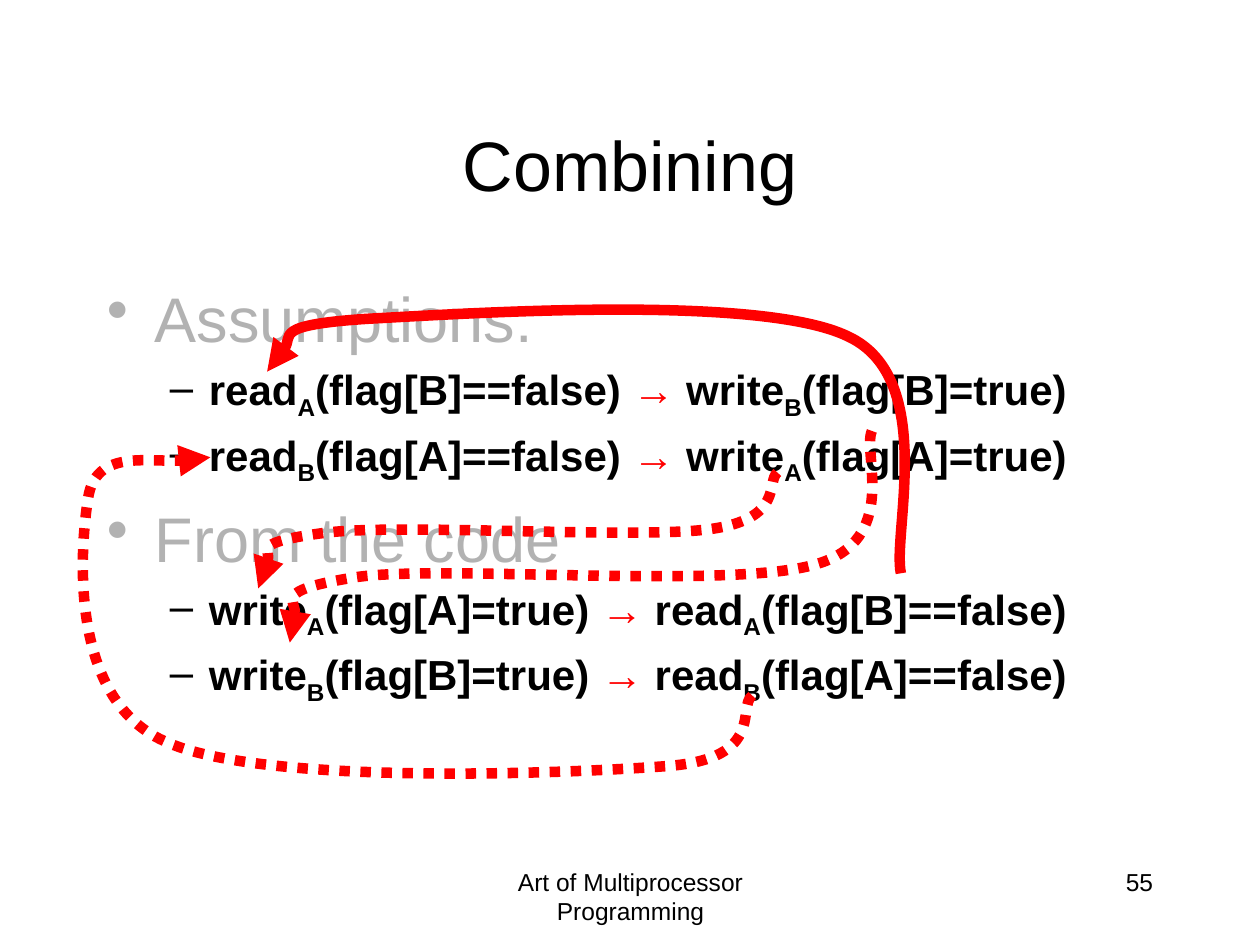
from typing import NamedTuple

from lxml.etree import SubElement
from pptx import Presentation
from pptx.dml.color import RGBColor
from pptx.enum.dml import MSO_LINE
from pptx.enum.text import MSO_ANCHOR, PP_ALIGN
from pptx.oxml.ns import qn
from pptx.util import Inches, Pt

BLACK = RGBColor(0x00, 0x00, 0x00)
GRAY = RGBColor(0xB2, 0xB2, 0xB2)
RED = RGBColor(0xFF, 0x00, 0x00)
WHITE = RGBColor(0xFF, 0xFF, 0xFF)

HEAD = {"size": Pt(36), "bold": False}
CODE = {"size": Pt(24), "bold": True}
SMALL = {"size": Pt(14), "bold": False}
TITLE = {"size": Pt(40), "bold": False}


class Box(NamedTuple):
    left: float
    top: float
    width: float
    height: float


class Level(NamedTuple):
    depth: int
    bullet: str
    margin: float
    indent: float
    font: dict


class Call(NamedTuple):
    verb: str
    thread: str
    args: str


class Order(NamedTuple):
    first: Call
    then: Call


class Group(NamedTuple):
    head: str
    orders: list


class Curve(NamedTuple):
    points: list
    dotted: bool = True


TOP = Level(0, "•", 0.38, -0.38, HEAD)
SUB = Level(1, "–", 0.81, -0.31, CODE)

READ_A = Call("read", "A", "(flag[B]==false)")
READ_B = Call("read", "B", "(flag[A]==false)")
WRITE_A = Call("write", "A", "(flag[A]=true)")
WRITE_B = Call("write", "B", "(flag[B]=true)")

GROUPS = [
    Group("Assumptions:", [Order(READ_A, WRITE_B), Order(READ_B, WRITE_A)]),
    Group("From the code", [Order(WRITE_A, READ_A), Order(WRITE_B, READ_B)]),
]

CURVES = [
    Curve([(5.97, 5.52), (5.85, 5.61), (6.08, 6.02), (5.3, 6.08),
           (4.52, 6.14), (2.06, 6.24), (1.3, 5.88),
           (0.53, 5.53), (0.64, 4.32), (0.7, 3.95),
           (0.76, 3.57), (1.47, 3.7), (1.67, 3.63)]),
    Curve([(6.92, 3.42), (6.84, 3.59), (7.15, 4.29), (6.47, 4.48),
           (5.79, 4.68), (3.53, 4.48), (2.83, 4.58),
           (2.14, 4.69), (2.41, 4.99), (2.3, 5.1)]),
    Curve([(6.17, 3.75), (6.08, 3.82), (6.23, 4.12), (5.63, 4.2),
           (5.03, 4.28), (3.16, 4.15), (2.57, 4.23),
           (1.97, 4.31), (2.16, 4.58), (2.05, 4.67)]),
    Curve([(7.15, 4.55), (7.08, 4.24), (7.44, 3), (6.73, 2.67),
           (6.03, 2.33), (3.69, 2.49), (2.92, 2.53),
           (2.15, 2.58), (2.28, 2.86), (2.12, 2.95)], dotted=False),
]


def apply(target, values: dict) -> None:
    for name, value in values.items():
        setattr(target, name, value)


def place(shape, box: Box) -> None:
    apply(shape, {name: Inches(size) for name, size in box._asdict().items()})


def add_run(para, text: str, font: dict, color: RGBColor, base: int = 0) -> None:
    run = para.add_run()
    run.text = text
    apply(run.font, {"name": "Arial", **font})
    run.font.color.rgb = color
    if base:
        run._r.get_or_add_rPr().set("baseline", str(base * 1000))


def add_frame(slide, box: Box):
    frame = slide.shapes.add_textbox(*map(Inches, box)).text_frame
    frame.word_wrap = True
    return frame


def add_label(slide, box: Box, text: str, align: PP_ALIGN) -> None:
    para = add_frame(slide, box).paragraphs[0]
    para.alignment = align
    add_run(para, text, SMALL, BLACK)


def add_item(frame, level: Level):
    para = frame.paragraphs[0]
    if para.runs:
        para = frame.add_paragraph()
    space = Pt(level.font["size"].pt * 0.2)
    apply(para, {"level": level.depth, "space_before": space})
    props = para._p.get_or_add_pPr()
    props.set("marL", str(Inches(level.margin)))
    props.set("indent", str(Inches(level.indent)))
    SubElement(props, qn("a:buChar")).set("char", level.bullet)
    return para


def add_call(para, call: Call, lead: str = "", trail: str = "") -> None:
    add_run(para, lead + call.verb, CODE, BLACK)
    add_run(para, call.thread, CODE, BLACK, base=-25)
    add_run(para, call.args + trail, CODE, BLACK)


def add_body(slide, box: Box, groups: list[Group]) -> None:
    frame = add_frame(slide, box)
    for group in groups:
        add_run(add_item(frame, TOP), group.head, HEAD, GRAY)
        for order in group.orders:
            para = add_item(frame, SUB)
            add_call(para, order.first, trail=" ")
            add_run(para, "→", CODE, RED)
            add_call(para, order.then, lead=" ")


def bend(shape) -> None:
    path = next(shape._element.iter(qn("a:path")))
    lines = path.findall(qn("a:lnTo"))
    for start in range(0, len(lines), 3):
        cubic = SubElement(path, qn("a:cubicBezTo"))
        for line in lines[start:start + 3]:
            cubic.append(line[0])
            path.remove(line)


def add_curve(slide, curve: Curve) -> None:
    points = [(Inches(x), Inches(y)) for x, y in curve.points]
    form = slide.shapes.build_freeform(*points[0])
    form.add_line_segments(points[1:], close=False)
    shape = form.convert_to_shape()
    bend(shape)
    shape.shadow.inherit = False
    shape.fill.background()
    shape.line.color.rgb = RED
    shape.line.width = Pt(6)
    if curve.dotted:
        shape.line.dash_style = MSO_LINE.ROUND_DOT
    stroke = shape._element.spPr.find(qn("a:ln"))
    SubElement(stroke, qn("a:tailEnd")).set("type", "triangle")


def add_title(slide, box: Box, text: str) -> None:
    title = slide.shapes.title
    place(title, box)
    title.text_frame.vertical_anchor = MSO_ANCHOR.MIDDLE
    para = title.text_frame.paragraphs[0]
    para.alignment = PP_ALIGN.CENTER
    add_run(para, text, TITLE, BLACK)


def main() -> None:
    deck = Presentation()
    apply(deck, {"slide_width": Inches(10), "slide_height": Inches(7.5)})
    slide = deck.slides.add_slide(deck.slide_layouts[5])
    slide.background.fill.solid()
    slide.background.fill.fore_color.rgb = WHITE
    add_label(slide, Box(3.42, 6.83, 3.17, 0.5),
              "Art of Multiprocessor Programming", PP_ALIGN.CENTER)
    add_label(slide, Box(7.17, 6.83, 2.08, 0.5), "55", PP_ALIGN.RIGHT)
    add_body(slide, Box(0.75, 2.17, 8.5, 4.5), GROUPS)
    add_title(slide, Box(0.75, 0.67, 8.5, 1.25), "Combining")
    for curve in CURVES:
        add_curve(slide, curve)
    deck.save("out.pptx")


if __name__ == "__main__":
    main()
